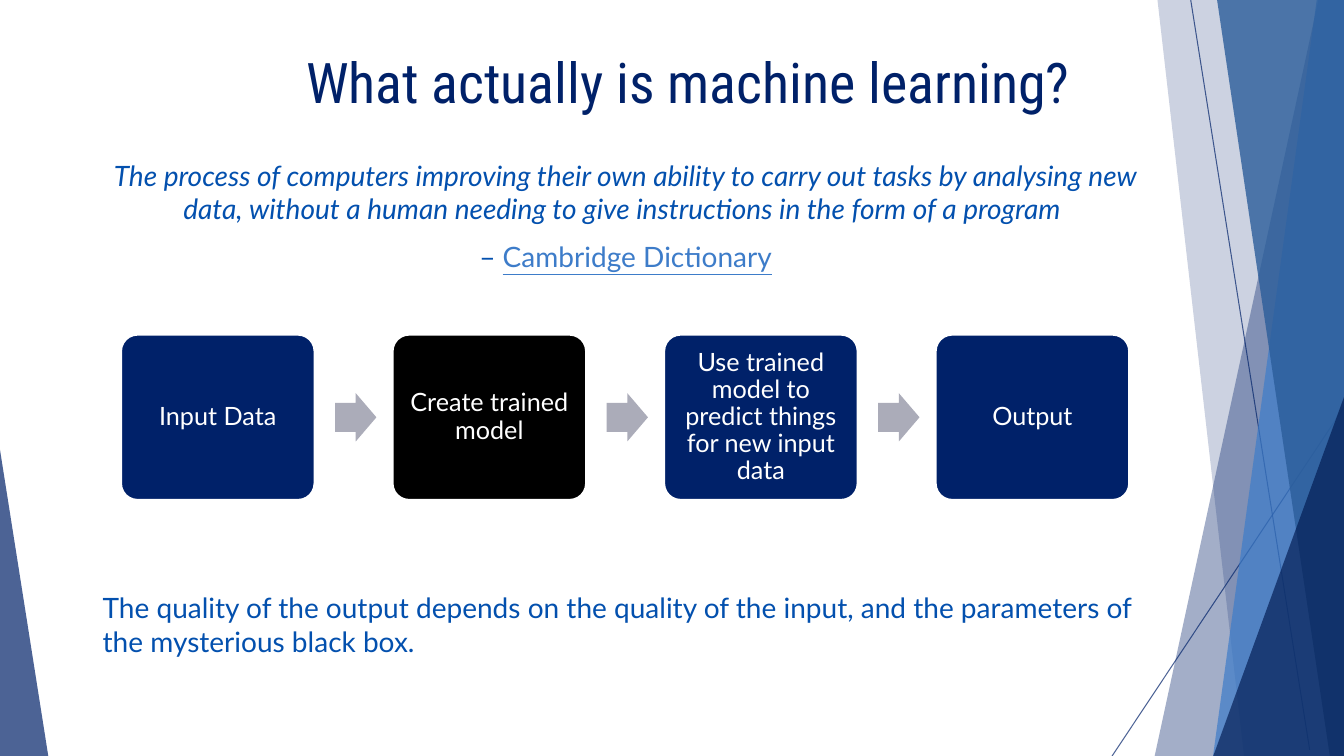
from pptx import Presentation
from pptx.dml.color import RGBColor
from pptx.enum.shapes import MSO_CONNECTOR, MSO_SHAPE
from pptx.enum.text import MSO_ANCHOR, PP_ALIGN
from pptx.oxml.ns import qn
from pptx.util import Inches, Pt
from lxml.etree import SubElement

NAVY, BLUE, LINK, WHITE = "002169", "0350AE", "3D7CC9", "FFFFFF"


def color(value):
    return RGBColor.from_string(value)


def set_fill(fill, value, opacity=100):
    """Apply a solid fill, see-through when opacity is below 100."""
    fill.solid()
    fill.fore_color.rgb = color(value)
    if opacity < 100:
        tint = fill._xPr.find(qn("a:solidFill"))[0]
        SubElement(tint, qn("a:alpha")).set("val", str(opacity * 1000))


def style_shape(shape, value, opacity=100):
    shape.shadow.inherit = False
    set_fill(shape.fill, value, opacity)
    shape.line.fill.background()


def add_preset(page, kind, box, adjustments, value, opacity=100):
    shape = page.shapes.add_shape(kind, *map(Inches, box))
    for index, adjustment in enumerate(adjustments):
        shape.adjustments[index] = adjustment
    style_shape(shape, value, opacity)
    return shape


def style_font(font, size, value, name="Lato", italic=False):
    font.size, font.name, font.italic = Pt(size), name, italic
    font.color.rgb = color(value)


def add_text(page, box, text, size, value, name="Lato", align=PP_ALIGN.LEFT):
    frame = page.shapes.add_textbox(*map(Inches, box)).text_frame
    frame.word_wrap = True
    frame.text = text
    para = frame.paragraphs[0]
    para.alignment = align
    style_font(para.runs[0].font, size, value, name)
    return frame


def add_backdrop(page):
    """Draw the faceted bands at the right edge and the wedge at the left."""
    for start, end in (((11.81, 0), (12.99, 7.44)), ((13.33, 4.04), (11.03, 7.5))):
        rule = page.shapes.add_connector(MSO_CONNECTOR.STRAIGHT, *map(Inches, start + end))
        rule.line.width = Pt(0.75)
        set_fill(rule.line.fill, NAVY, 70)
        SubElement(rule._element.spPr, qn("a:effectLst"))

    bands = (
        (((13.08, -0.02), (13.33, 0), (13.33, 7.51), (11.45, 7.51)), NAVY, 36),
        (((11.48, 0), (13.33, 0), (13.33, 7.51), (12.34, 7.51)), NAVY, 20),
        (((13.06, 0), (13.33, 0), (13.33, 7.51), (12.03, 7.51)), LINK, 70),
        (((12.07, -0.01), (13.33, -0.01), (13.33, 7.5), (13.19, 7.5)), "2B5D9A", 80),
    )
    for corners, value, opacity in bands:
        points = [(Inches(x), Inches(y)) for x, y in corners]
        builder = page.shapes.build_freeform(*points[0])
        builder.add_line_segments(points[1:], close=True)
        style_shape(builder.convert_to_shape(), value, opacity)

    triangle = MSO_SHAPE.ISOSCELES_TRIANGLE
    add_preset(page, triangle, (12.03, 3.94, 1.3, 3.57), [1], "00194F", 66)
    add_preset(page, triangle, (-0.01, 4.4, 0.49, 3.11), [0], NAVY, 70)


def add_definition(page, box):
    frame = add_text(
        page, box,
        "The process of computers improving their own ability to carry out tasks by "
        "analysing new data, without a human needing to give instructions in the form "
        "of a program ",
        20, BLUE, align=PP_ALIGN.CENTER)
    frame.paragraphs[0].runs[0].font.italic = True
    para = frame.add_paragraph()
    para.alignment = PP_ALIGN.CENTER
    para.space_before = Pt(10)
    for text, value in (("– ", BLUE), ("Cambridge Dictionary", LINK)):
        span = para.add_run()
        span.text = text
        style_font(span.font, 20, value)
    span.font.underline = True


def add_step(page, box, text, value):
    step = add_preset(page, MSO_SHAPE.ROUNDED_RECTANGLE, box, [0.1], value)
    step.line.color.rgb = color(WHITE)
    step.line.width = Pt(1.5)
    frame = step.text_frame
    frame.word_wrap = True
    frame.vertical_anchor = MSO_ANCHOR.MIDDLE
    frame.margin_left = frame.margin_right = Inches(0.07)
    frame.margin_top = frame.margin_bottom = Inches(0.07)
    frame.text = text
    para = frame.paragraphs[0]
    para.alignment = PP_ALIGN.CENTER
    para.line_spacing = 0.9
    style_font(para.runs[0].font, 18, WHITE)


def add_process(page, box):
    """Spread the steps evenly over the box, with an arrow in each gap."""
    left, top, width, height = box
    step_width, arrow_width, arrow_height = 1.92, 0.41, 0.48
    steps = (
        ("Input Data", NAVY),
        ("Create trained model", "000000"),
        ("Use trained model to predict things for new input data", NAVY),
        ("Output", NAVY),
    )
    pitch = (width - step_width) / (len(steps) - 1)
    for index, (text, value) in enumerate(steps):
        x = left + index * pitch
        if index:
            arrow_box = (x - 0.57, top + (height - arrow_height) / 2, arrow_width, arrow_height)
            add_preset(page, MSO_SHAPE.RIGHT_ARROW, arrow_box, [0.6, 0.5], "ABACB9")
        add_step(page, (x, top, step_width, height), text, value)


def main():
    deck = Presentation()
    deck.slide_width, deck.slide_height = Inches(13.33), Inches(7.5)
    page = deck.slides.add_slide(deck.slide_layouts[6])
    set_fill(page.background.fill, WHITE)
    add_backdrop(page)
    add_text(page, (2.34, 0.42, 8.97, 0.98), "What actually is machine learning?",
             40, NAVY, "Roboto Condensed", PP_ALIGN.CENTER)
    add_definition(page, (0.92, 1.52, 10.57, 1.35))
    add_process(page, (1.2, 3.32, 10, 1.64))
    add_text(page, (0.92, 5.81, 10.57, 1.35),
             "The quality of the output depends on the quality of the input, and the "
             "parameters of the mysterious black box.", 20, BLUE)
    deck.save("out.pptx")


if __name__ == "__main__":
    main()
